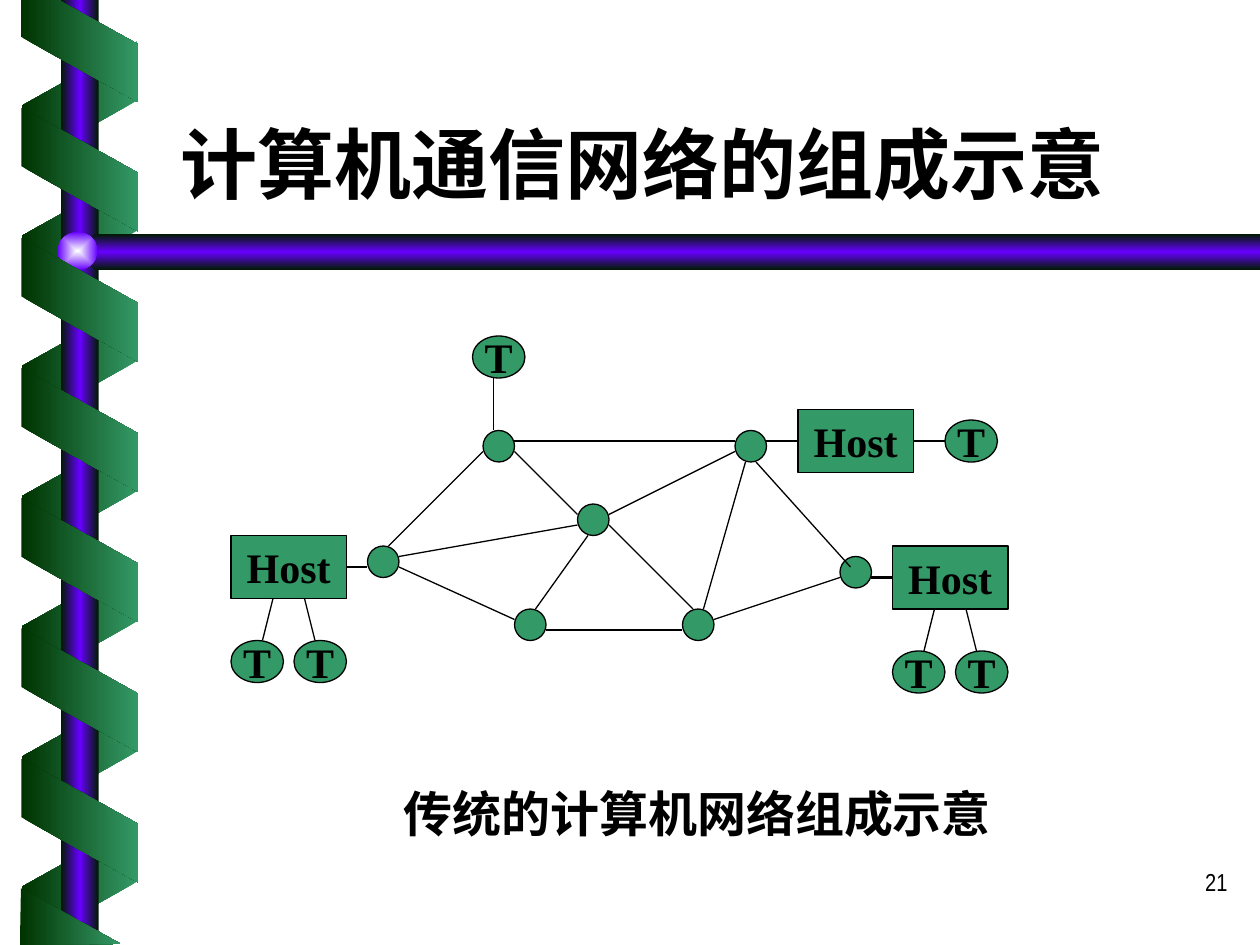
"""Builds a slide that shows the parts of a traditional computer network."""
from dataclasses import dataclass

from lxml.etree import SubElement
from pptx import Presentation
from pptx.dml.color import RGBColor
from pptx.enum.shapes import MSO_CONNECTOR, MSO_SHAPE
from pptx.enum.text import MSO_ANCHOR, PP_ALIGN
from pptx.oxml import parse_xml
from pptx.oxml.ns import nsdecls, qn
from pptx.util import Emu, Pt

PX = 7620


@dataclass(frozen=True)
class Theme:
    green: str = "339966"
    dark_green: str = "003300"
    violet: str = "6600FF"
    night: str = "001A00"
    glow: str = "FEFFFF"
    ink: str = "000000"
    serif: str = "Times New Roman"
    narrow: str = "Arial Narrow"
    title: int = 44
    caption: int = 28
    label: int = 24
    number: int = 14
    thin: float = 0.75
    thick: float = 1.5


THEME = Theme()
SLIDE = (1200, 900)

TITLE = "计算机通信网络的组成示意"
CAPTION = "传统的计算机网络组成示意"
PAGE_NUMBER = "21"

RIBBON_LEFT, RIBBON_LENGTH, RIBBON_PITCH = 17, 118, 124
BACK_RIBBON = dict(top=43, count=7, height=110)
FRONT_RIBBON = dict(top=106, count=6, height=111)
RIBBON_TOP_END = [(20, 0), (20, 35), (131, 97), (131, 42), (56, 0)]
RIBBON_BOTTOM_END = [(115, 899), (20, 846), (19, 900)]
CROSSBAR = [(1200, 223), (91, 223), (72, 240), (91, 257), (1200, 257)]
POLE = (58, 0, 36, 900)
BALL = (55, 221, 38, 36)

HOST_SIZE, TERMINAL_SIZE, NODE_SIZE = (110, 60), (50, 40), (30, 30)
HOSTS = [(220, 510), (850, 520), (760, 390)]
TERMINALS = [(220, 610), (280, 610), (850, 620), (910, 620), (450, 320), (900, 400)]
NODES = [(350, 520), (800, 530), (460, 410), (490, 580), (550, 480), (650, 580), (700, 410)]

TERMINAL_LINKS = [
    (260, 570, 250, 610), (290, 570, 300, 610), (890, 580, 880, 620),
    (920, 580, 930, 620), (470, 360, 470, 410), (870, 420, 900, 420),
]
HOST_LINKS = [(330, 540, 350, 540), (730, 420, 760, 420), (830, 550, 850, 550)]
NODE_LINKS = [
    (490, 420, 700, 420), (370, 520, 460, 430), (380, 530, 550, 500),
    (380, 540, 490, 590), (490, 430, 550, 490), (580, 500, 660, 580),
    (510, 580, 560, 510), (520, 600, 650, 600), (670, 580, 710, 440),
    (580, 490, 700, 430), (680, 590, 800, 550), (720, 440, 810, 540),
]


def emu(values):
    return [Emu(value * PX) for value in values]


def set_gradient(shape, colors, angle=0, radial=False):
    shape.shadow.inherit = False
    shape.line.fill.background()
    step = 100000 // (len(colors) - 1)
    stops = "".join(
        f'<a:gs pos="{index * step}"><a:srgbClr val="{color}"/></a:gs>'
        for index, color in enumerate(colors)
    )
    direction = f'<a:lin ang="{angle * 60000}" scaled="0"/>'
    if radial:
        direction = '<a:path path="rect"><a:fillToRect l="50000" t="50000" r="50000" b="50000"/></a:path>'
    fill = parse_xml(
        f'<a:gradFill {nsdecls("a")} rotWithShape="0"><a:gsLst>{stops}</a:gsLst>{direction}</a:gradFill>'
    )
    shape._element.spPr.find(qn("a:ln")).addprevious(fill)


def add_outline(page, points, colors, angle=0):
    builder = page.shapes.build_freeform(*points[0], scale=PX)
    builder.add_line_segments(points[1:], close=True)
    set_gradient(builder.convert_to_shape(), colors, angle)


def add_ribbons(page, top, count, height, rotation, colors, flipped=False):
    for index in range(count):
        place = (RIBBON_LEFT, top + index * RIBBON_PITCH, RIBBON_LENGTH, height)
        ribbon = page.shapes.add_shape(MSO_SHAPE.PARALLELOGRAM, *emu(place))
        ribbon.adjustments[0] = 0.56
        ribbon.rotation = rotation
        if flipped:
            ribbon._element.spPr.find(qn("a:xfrm")).set("flipH", "1")
        set_gradient(ribbon, colors)


def write(shape, text, size, font, align, bold=True):
    para = shape.text_frame.paragraphs[0]
    para.text = text
    para.alignment = align
    para.font.size = Pt(size)
    para.font.name = font
    para.font.bold = bold
    para.font.color.rgb = RGBColor.from_string(THEME.ink)


def add_text(page, place, text, size, font, align, anchor=MSO_ANCHOR.TOP, bold=True):
    box = page.shapes.add_textbox(*emu(place))
    box.text_frame.word_wrap = True
    box.text_frame.vertical_anchor = anchor
    write(box, text, size, font, align, bold)


def add_units(page, kind, places, size, label=""):
    for place in places:
        unit = page.shapes.add_shape(kind, *emu(place + size))
        unit.shadow.inherit = False
        unit.fill.solid()
        unit.fill.fore_color.rgb = RGBColor.from_string(THEME.green)
        unit.line.color.rgb = RGBColor.from_string(THEME.ink)
        unit.line.width = Pt(THEME.thin)
        if label:
            unit.text_frame.word_wrap = False
            unit.text_frame.vertical_anchor = MSO_ANCHOR.MIDDLE
            write(unit, label, THEME.label, THEME.serif, PP_ALIGN.CENTER)


def add_links(page, links, width):
    for link in links:
        line = page.shapes.add_connector(MSO_CONNECTOR.STRAIGHT, *emu(link))
        line.line.color.rgb = RGBColor.from_string(THEME.ink)
        line.line.width = Pt(width)
        SubElement(line._element.spPr, qn("a:effectLst"))


def add_decoration(page):
    leaf = [THEME.dark_green, THEME.green]
    tube = [THEME.night, THEME.violet, THEME.night]
    add_ribbons(page, **BACK_RIBBON, rotation=90, colors=leaf[::-1], flipped=True)
    set_gradient(page.shapes.add_shape(MSO_SHAPE.RECTANGLE, *emu(POLE)), tube)
    add_outline(page, CROSSBAR, tube, angle=90)
    ball = page.shapes.add_shape(MSO_SHAPE.OVAL, *emu(BALL))
    set_gradient(ball, [THEME.glow, THEME.violet], radial=True)
    add_ribbons(page, **FRONT_RIBBON, rotation=270, colors=leaf)
    for end in (RIBBON_TOP_END, RIBBON_BOTTOM_END):
        add_outline(page, end, leaf)


def add_network(page):
    add_units(page, MSO_SHAPE.RECTANGLE, HOSTS, HOST_SIZE, "Host")
    add_units(page, MSO_SHAPE.OVAL, TERMINALS, TERMINAL_SIZE, "T")
    add_units(page, MSO_SHAPE.OVAL, NODES, NODE_SIZE)
    add_links(page, TERMINAL_LINKS + NODE_LINKS, THEME.thin)
    add_links(page, HOST_LINKS, THEME.thick)


def main():
    deck = Presentation()
    deck.slide_width, deck.slide_height = emu(SLIDE)
    page = deck.slides.add_slide(deck.slide_layouts[6])
    add_decoration(page)
    add_text(page, (931, 820, 250, 60), PAGE_NUMBER, THEME.number, THEME.narrow,
             PP_ALIGN.RIGHT, bold=False)
    add_text(page, (160, 55, 1020, 150), TITLE, THEME.title, THEME.serif,
             PP_ALIGN.LEFT, MSO_ANCHOR.BOTTOM)
    add_text(page, (350, 740, 628, 68), CAPTION, THEME.caption, THEME.serif, PP_ALIGN.CENTER)
    add_network(page)
    deck.save("out.pptx")


if __name__ == "__main__":
    main()
